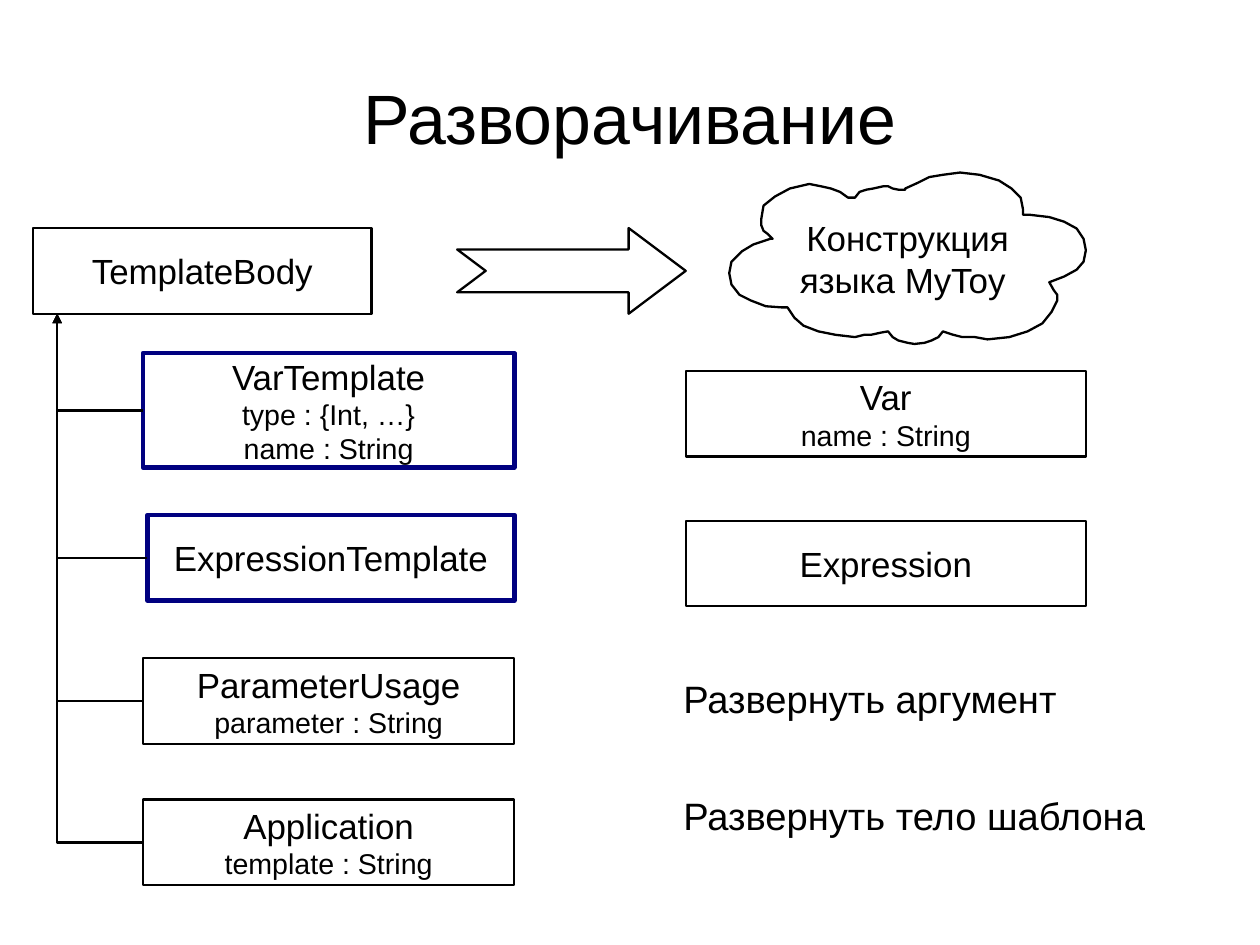
from dataclasses import dataclass

from lxml.etree import SubElement
from pptx import Presentation
from pptx.dml.color import RGBColor
from pptx.enum.shapes import MSO_CONNECTOR, MSO_SHAPE
from pptx.enum.text import MSO_ANCHOR, MSO_AUTO_SIZE, PP_ALIGN
from pptx.oxml.ns import qn
from pptx.util import Cm, Inches, Pt

CELL = Inches(0.25)  # one column or row of the slide grid


@dataclass(frozen=True)
class Theme:
    font: str = "Arial"
    ink: RGBColor = RGBColor(0, 0, 0)
    paper: RGBColor = RGBColor(255, 255, 255)
    accent: RGBColor = RGBColor(0, 0, 128)
    title: int = 44
    note: int = 24
    name: int = 22
    field: int = 18
    thin: float = 1.45
    thick: float = 2.89


def grid(*cells):
    return [round(c * CELL) for c in cells]


def write(p, text, *, font, size, color, align=PP_ALIGN.CENTER):
    p.alignment = align
    r = p.add_run()
    r.text = text
    r.font.name, r.font.size = font, Pt(size)
    r.font.color.rgb = color


class Diagram:
    def __init__(self, slide, theme):
        self.slide, self.theme = slide, theme

    def fill_text(self, tf, lines, sizes, margins=(0.1, 0.05), **fmt):
        """Write one paragraph per line; the last size serves all remaining lines."""
        tf.word_wrap = True
        tf.vertical_anchor = MSO_ANCHOR.MIDDLE
        tf.margin_left = tf.margin_right = Inches(margins[0])
        tf.margin_top = tf.margin_bottom = Inches(margins[1])
        for i, line in enumerate(lines):
            p = tf.add_paragraph() if i else tf.paragraphs[0]
            write(p, line, font=self.theme.font, color=self.theme.ink,
                  size=sizes[min(i, len(sizes) - 1)], **fmt)

    def outline(self, sp, color=None, width=None):
        sp.shadow.inherit = False
        sp.fill.solid()
        sp.fill.fore_color.rgb = self.theme.paper
        sp.line.color.rgb = color or self.theme.ink
        sp.line.width = Pt(width or self.theme.thin)

    def title(self, text, place):
        sp = self.slide.shapes.title
        sp.left, sp.top, sp.width, sp.height = grid(*place)
        self.fill_text(sp.text_frame, [text], [self.theme.title], (0, 0))

    def box(self, lines, place, marked=False):
        t = self.theme
        sp = self.slide.shapes.add_shape(MSO_SHAPE.RECTANGLE, *grid(*place))
        self.outline(sp, *((t.accent, t.thick) if marked else ()))
        margins = (0.12, 0.07) if marked else (0.1, 0.05)
        self.fill_text(sp.text_frame, lines, [t.name, t.field], margins)

    def arrow(self, place):
        sp = self.slide.shapes.add_shape(MSO_SHAPE.NOTCHED_RIGHT_ARROW, *grid(*place))
        sp.adjustments[0], sp.adjustments[1] = 0.5, 2 / 3
        self.outline(sp)

    def cloud(self, lines, points):
        """Close a freeform through points given in hundredths of an inch."""
        builder = self.slide.shapes.build_freeform(*points[0], scale=Inches(0.01))
        builder.add_line_segments(points[1:], close=True)
        sp = builder.convert_to_shape()
        self.outline(sp)
        self.fill_text(sp.text_frame, lines, [self.theme.name])

    def note(self, text, place):
        tf = self.slide.shapes.add_textbox(*grid(*place)).text_frame
        self.fill_text(tf, [text], [self.theme.note], align=PP_ALIGN.LEFT)
        tf.vertical_anchor = MSO_ANCHOR.TOP
        tf.auto_size = MSO_AUTO_SIZE.SHAPE_TO_FIT_TEXT

    def branch(self, left, top, right, bottom):
        """Run left from the lower right corner, then up to an arrowhead."""
        sp = self.slide.shapes.add_connector(
            MSO_CONNECTOR.ELBOW, *grid(left, top, right, bottom))
        sp.line.color.rgb = self.theme.ink
        sp.line.width = Pt(self.theme.thin)
        sp_pr = sp.element.spPr
        sp_pr.find(qn("a:xfrm")).set("rot", str(180 * 60000))
        sp_pr.find(qn("a:prstGeom")).set("prst", "bentConnector2")
        SubElement(sp_pr.find(qn("a:ln")), qn("a:tailEnd"), type="triangle")
        SubElement(sp_pr, qn("a:effectLst"))


CLOUD = [
    (918, 247), (922, 254), (925, 258), (925, 263), (920, 273), (912, 283),
    (899, 290), (883, 295), (864, 297), (853, 295), (842, 295), (834, 293),
    (825, 290), (821, 295), (815, 298), (809, 300), (800, 301), (794, 300),
    (786, 298), (781, 295), (777, 290), (771, 291), (762, 293), (756, 293),
    (748, 295), (731, 293), (716, 290), (703, 285), (695, 278), (689, 269),
    (684, 269), (670, 268), (657, 263), (647, 258), (640, 249), (638, 239),
    (640, 229), (649, 220), (659, 214), (674, 209), (676, 209), (672, 205),
    (668, 202), (666, 197), (666, 192), (668, 180), (678, 172), (691, 165),
    (708, 161), (718, 163), (727, 165), (735, 168), (742, 173), (748, 173),
    (752, 168), (758, 166), (764, 165), (773, 163), (777, 163), (781, 165),
    (786, 166), (792, 166), (792, 165), (803, 160), (813, 155), (825, 153),
    (840, 151), (857, 153), (874, 158), (885, 165), (893, 173), (895, 183),
    (895, 188), (901, 188), (918, 190), (931, 194), (942, 200), (948, 209),
    (950, 219), (948, 229), (942, 236), (931, 242),
]

# lines, (column, row, width, height), marked
TEMPLATES = [
    (["VarTemplate", "type : {Int, …}", "name : String"], (5, 12.36, 13, 4), True),
    (["ExpressionTemplate"], (5.16, 18.02, 12.84, 3), True),
    (["ParameterUsage", "parameter : String"], (5, 23.04, 13, 3), False),
    (["Application", "template : String"], (5, 27.98, 13, 3), False),
]
RESULTS = [
    (["Var", "name : String"], (24, 12.98, 14, 3)),
    (["Expression"], (24, 18.22, 14, 3)),
]
NOTES = [
    ("Развернуть аргумент", (23.52, 23.45, 18, 1.88)),
    ("Развернуть тело шаблона", (23.52, 27.55, 19, 1.88)),
]


def main():
    prs = Presentation()
    prs.slide_width, prs.slide_height = Cm(28), Cm(21)
    diagram = Diagram(prs.slides.add_slide(prs.slide_layouts[5]), Theme())

    diagram.title("Разворачивание", (2.2, 1.52, 39.68, 5.12))
    diagram.box(["TemplateBody"], (1.16, 7.98, 11.84, 3))
    diagram.arrow((16, 7.98, 8, 3))
    diagram.cloud(["Конструкция", "языка MyToy "], CLOUD)
    for lines, place, marked in TEMPLATES:
        diagram.box(lines, place, marked)
    for lines, place in RESULTS:
        diagram.box(lines, place)
    for text, place in NOTES:
        diagram.note(text, place)
    for _, (left, top, _, height), _ in TEMPLATES:
        diagram.branch(2, 10.98, left, top + height / 2)

    prs.save("out.pptx")


if __name__ == "__main__":
    main()
